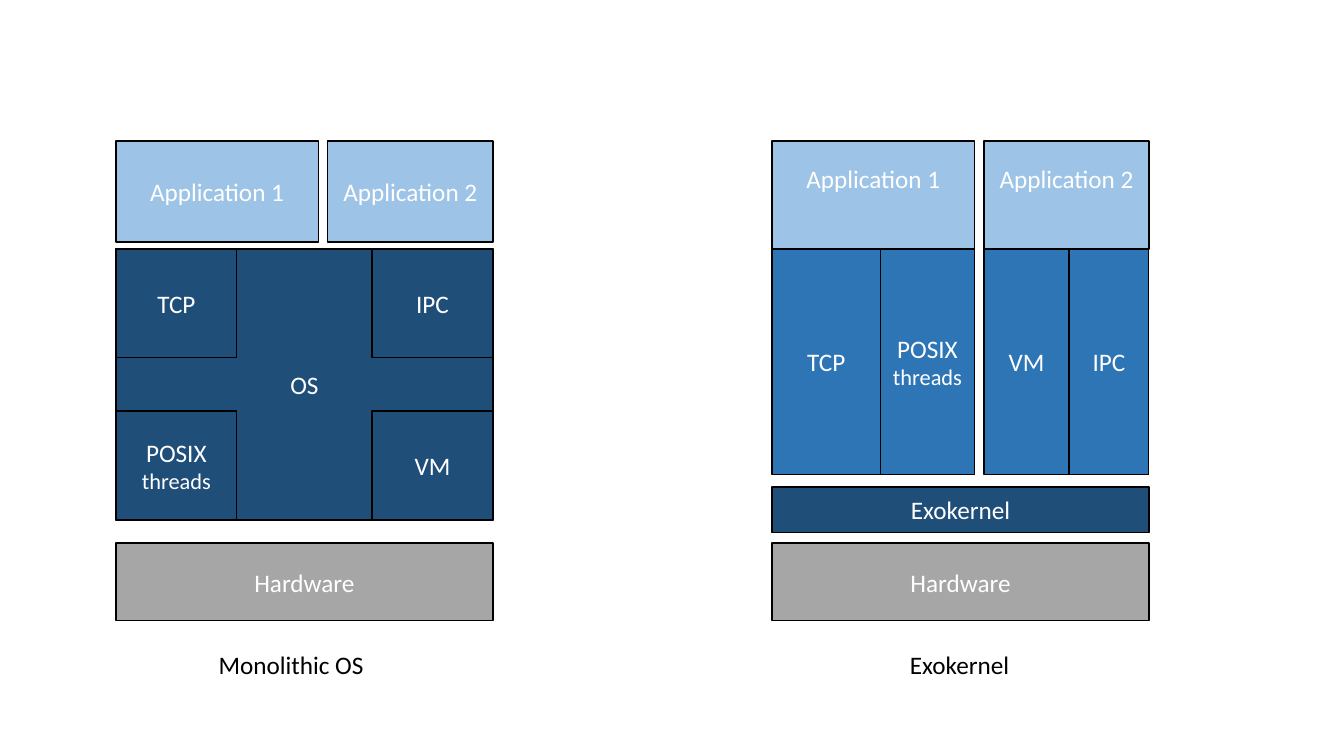
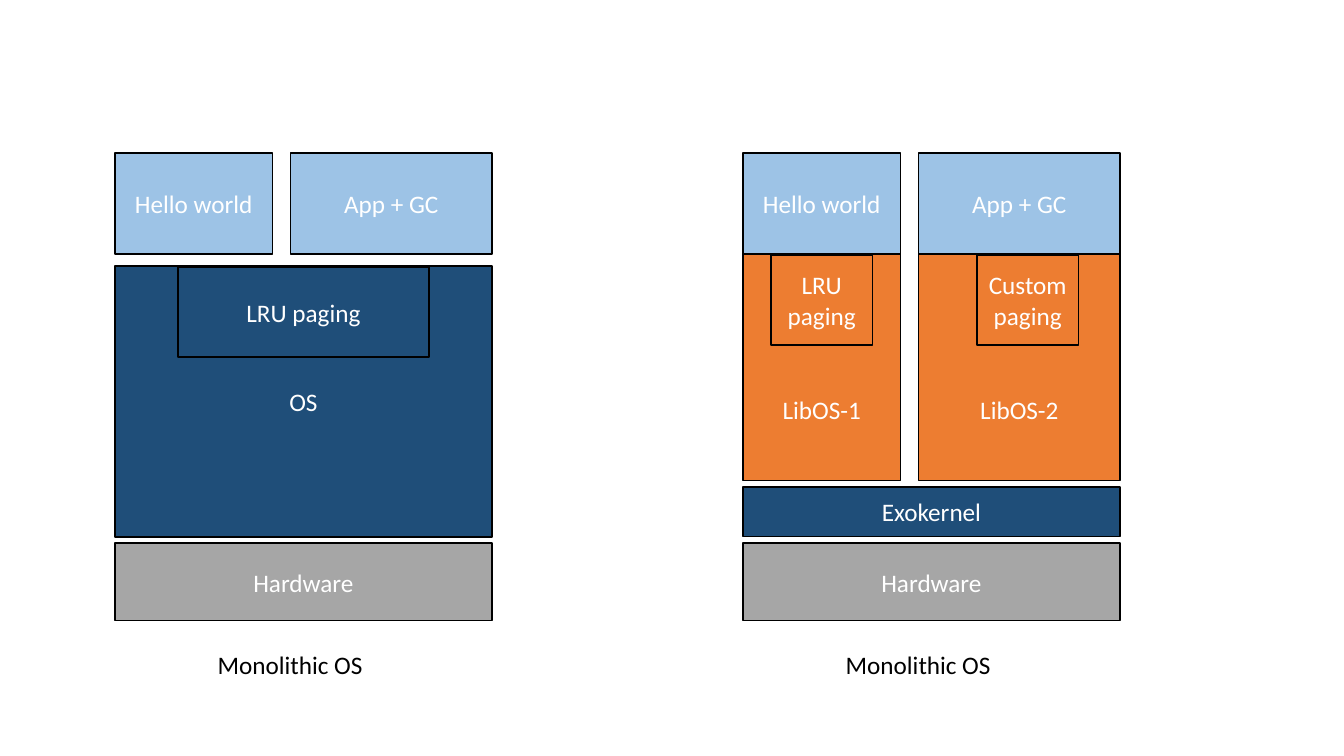
import pptx
import pptx.dml.color
import pptx.enum.shapes
import pptx.enum.text
import pptx.util

Pt = pptx.util.Pt
ALIGN = pptx.enum.text.PP_ALIGN
ANCHOR = pptx.enum.text.MSO_ANCHOR
RECT = pptx.enum.shapes.MSO_SHAPE.RECTANGLE

FONT = "Calibri"
WHITE, BLACK, GREY = "FFFFFF", "000000", "A6A6A6"
NAVY, BLUE, SKY, ORANGE = "1F4E79", "2E75B6", "9DC3E6", "ED7D31"

WIDTH = 269.3
APP_H = 72
OS_H = 193.7
PAGE_H = 64.3
INSET = 3.6
HARD_TOP, HARD_H = 388, 55.4
NOTE_TOP, NOTE_H = 460, 29
EXO_TOP = 347.8
THREADS = "POSIX\nthreads"


def rgb(code):
    return pptx.dml.color.RGBColor.from_string(code)


def style(frame, color, align):
    """Format every line; a second line reading "threads" is smaller."""
    for line in frame.paragraphs:
        line.alignment = align
        for run in line.runs:
            run.font.name = FONT
            run.font.size = Pt(16 if run.text == "threads" else 18)
            run.font.color.rgb = rgb(color)


def box(slide, left, top, width, height, text, fill, drop=0):
    """Draw a labelled block; drop moves the label down from the middle."""
    shape = slide.shapes.add_shape(RECT, Pt(left), Pt(top), Pt(width), Pt(height))
    shape.shadow.inherit = False
    shape.fill.solid()
    shape.fill.fore_color.rgb = rgb(fill)
    shape.line.color.rgb = rgb(BLACK)
    shape.line.width = Pt(1)
    frame = shape.text_frame
    frame.word_wrap = True
    frame.vertical_anchor = ANCHOR.MIDDLE
    frame.margin_top = Pt(INSET + max(0, 2 * drop))
    frame.margin_bottom = Pt(INSET + max(0, -2 * drop))
    frame.text = text
    style(frame, WHITE, ALIGN.CENTER)


def base(slide, left, note, indent):
    """Draw the hardware bar and the caption below it."""
    box(slide, left, HARD_TOP, WIDTH, HARD_H, "Hardware", GREY)
    label = slide.shapes.add_textbox(
        Pt(left + indent), Pt(NOTE_TOP), Pt(128), Pt(NOTE_H))
    label.text_frame.word_wrap = True
    label.text_frame.text = note
    style(label.text_frame, BLACK, ALIGN.LEFT)


def split(left, first, gap):
    """Return left and width of two columns that fill the stack."""
    start = first + gap
    return (left, first), (left + start, WIDTH - start)


def apps(slide, cols, top, height, names, drop=0):
    for (left, width), name in zip(cols, names):
        box(slide, left, top, width, height, name, SKY, drop)


def corners(slide, left, top):
    """Draw the monolithic OS with a service in each corner."""
    wide, high = 86.4, 77.8
    box(slide, left, top, WIDTH, OS_H, "OS", NAVY)
    rows = (("TCP", "IPC"), (THREADS, "VM"))
    for row, names in enumerate(rows):
        for col, name in enumerate(names):
            box(slide, left + col * (WIDTH - wide), top + row * (OS_H - high),
                wide, high, name, NAVY)


def shared(slide, left, top):
    """Draw the monolithic OS with one paging block."""
    wide = 179.3
    box(slide, left, top, WIDTH, OS_H, "OS", NAVY)
    box(slide, left + (WIDTH - wide) / 2, top + 0.7, wide, PAGE_H,
        "LRU paging", NAVY)


def services(slide, cols, top):
    """Draw the services that each application holds for itself."""
    pairs = ((("TCP", 77.4), (THREADS, 67.2)), (("VM", 60.8), ("IPC", 57)))
    for (left, _), pair in zip(cols, pairs):
        for name, width in pair:
            box(slide, left, top, width, 161.3, name, BLUE)
            left += width


def libs(slide, cols, top):
    """Draw a library OS with its own paging under each application."""
    wide = 72.7
    parts = (("LibOS-1", "LRU\npaging", 0), ("LibOS-2", "Custom\npaging", 6))
    for (left, width), (name, paging, shift) in zip(cols, parts):
        box(slide, left, top, width, 162, name, ORANGE, 30)
        box(slide, left + (width - wide) / 2 + shift, top + 0.7, wide, PAGE_H,
            paging, ORANGE)


def threads(slide):
    names = ("Application 1", "Application 2")
    left, right, top, mid = 82.8, 551.5, 100.8, 177.8
    base(slide, left, "Monolithic OS", 66.3)
    apps(slide, split(left, 144.6, 6.7), top, APP_H, names)
    corners(slide, left, mid)
    cols = split(right, 144.6, 6.7)
    base(slide, right, "Exokernel", 91.4)
    apps(slide, cols, top, mid - top, names, -12)
    services(slide, cols, mid)
    box(slide, right, EXO_TOP, WIDTH, 32.4, "Exokernel", NAVY)


def paging(slide):
    names = ("Hello world", "App + GC")
    left, right, top = 82.1, 530.7, 109.4
    for start in (left, right):
        base(slide, start, "Monolithic OS", 66.3)
        apps(slide, split(start, 112.5, 13), top, APP_H, names)
    shared(slide, left, 190)
    libs(slide, split(right, 112.5, 13), top + APP_H)
    box(slide, right, EXO_TOP, WIDTH, 35.6, "Exokernel", NAVY)


def main():
    deck = pptx.Presentation()
    deck.slide_width, deck.slide_height = Pt(960), Pt(540)
    for draw in (threads, paging):
        draw(deck.slides.add_slide(deck.slide_layouts[6]))
    deck.save("out.pptx")


if __name__ == "__main__":
    main()
